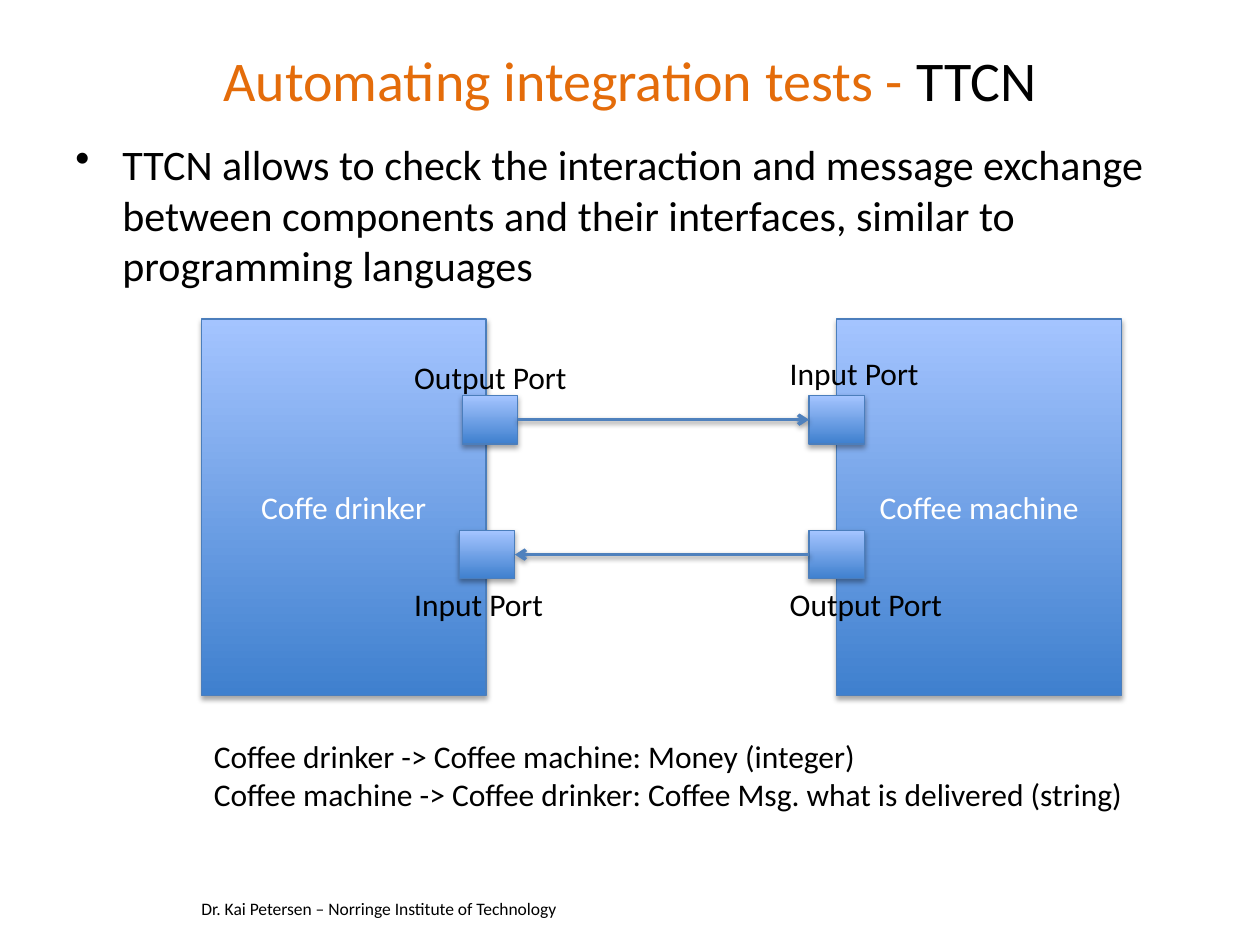
from lxml import etree
from pptx import Presentation
from pptx.dml.color import RGBColor
from pptx.enum import shapes, text
from pptx.oxml import ns
from pptx.util import Cm, Pt

FONT = "Calibri"
COLORS = {
    "black": "000000",
    "white": "FFFFFF",
    "accent": "E46C0A",
    "fill_bottom": "3F80CE",
    "fill_top": "A4C4FF",
    "border": "4B7EBC",
    "arrow": "4F81BD",
}


def rgb(name):
    return RGBColor.from_string(COLORS[name])


def set_font(font, size, color):
    font.name = FONT
    font.size = Pt(size)
    font.color.rgb = rgb(color)


def add_shadow(sp_pr, alpha, blur, dist):
    effects = sp_pr.find(ns.qn("a:effectLst"))
    if effects is None:
        effects = etree.SubElement(sp_pr, ns.qn("a:effectLst"))
    shadow = etree.SubElement(
        effects, ns.qn("a:outerShdw"), blurRad=str(Pt(blur)),
        dist=str(Pt(dist)), dir="5400000", rotWithShape="0")
    color = etree.SubElement(shadow, ns.qn("a:srgbClr"), val=COLORS["black"])
    etree.SubElement(color, ns.qn("a:alpha"), val=str(alpha * 1000))


def add_text(slide, x, y, w, h, lines, size):
    sp = slide.shapes.add_textbox(Cm(x), Cm(y), Cm(w), Cm(h))
    tf = sp.text_frame
    tf.word_wrap = True
    tf.text = "\n".join(lines)
    for p in tf.paragraphs:
        set_font(p.font, size, "black")
    return tf


def add_title(slide, accent, rest):
    tf = add_text(slide, 1.27, 0, 22.86, 3.18, [accent], 32)
    tf.vertical_anchor = text.MSO_ANCHOR.MIDDLE
    p = tf.paragraphs[0]
    p.alignment = text.PP_ALIGN.CENTER
    p.runs[0].font.color.rgb = rgb("accent")
    p.add_run().text = rest


def add_bullet(slide, line):
    p = add_text(slide, 1.27, 2.67, 22.86, 14.17, [line], 24).paragraphs[0]
    p.space_before = Pt(4.8)
    p_pr = p._p.get_or_add_pPr()
    p_pr.set("marL", str(Cm(0.95)))
    p_pr.set("indent", str(-Cm(0.95)))
    bullet = etree.Element(ns.qn("a:buChar"), char="•")
    p_pr.find(ns.qn("a:defRPr")).addprevious(bullet)


def add_box(slide, x, y, w, h, label=""):
    sp = slide.shapes.add_shape(
        shapes.MSO_SHAPE.RECTANGLE, Cm(x), Cm(y), Cm(w), Cm(h))
    sp.fill.gradient()
    sp.fill.gradient_angle = 90
    for stop, color in zip(sp.fill.gradient_stops, ("fill_bottom", "fill_top")):
        stop.color.rgb = rgb(color)
    sp.line.color.rgb = rgb("border")
    sp.line.width = Pt(0.75)
    sp.shadow.inherit = False
    add_shadow(sp._element.spPr, 35, 3.1, 1.8)
    if label:
        tf = sp.text_frame
        tf.text = label
        tf.vertical_anchor = text.MSO_ANCHOR.MIDDLE
        p = tf.paragraphs[0]
        p.alignment = text.PP_ALIGN.CENTER
        set_font(p.font, 18, "white")


def add_arrow(slide, x1, x2, y):
    cx = slide.shapes.add_connector(
        shapes.MSO_CONNECTOR.STRAIGHT, Cm(x1), Cm(y), Cm(x2), Cm(y))
    cx.line.color.rgb = rgb("arrow")
    cx.line.width = Pt(2)
    etree.SubElement(cx.line._get_or_add_ln(), ns.qn("a:tailEnd"), type="arrow")
    add_shadow(cx._element.spPr, 38, 3.1, 1.6)


def main():
    prs = Presentation()
    prs.slide_width, prs.slide_height = Cm(25.4), Cm(19.05)
    slide = prs.slides.add_slide(prs.slide_layouts[6])

    # Footer, title and statement
    add_text(slide, 3.81, 17.98, 14.55, 0.69,
             ["Dr. Kai Petersen – Norringe Institute of Technology"], 10)
    add_title(slide, "Automating integration tests - ", "TTCN")
    add_bullet(slide, "TTCN allows to check the interaction and message exchange "
                      "between components and their interfaces, similar to "
                      "programming languages")

    # Components
    for x, name in ((4.06, "Coffe drinker"), (16.87, "Coffee machine")):
        add_box(slide, x, 6.43, 5.74, 7.59, name)

    # Ports and the messages between them
    port_w, port_h, right_x = 1.12, 0.97, 16.31
    for left_x, y in ((9.32, 7.98), (9.26, 10.7)):
        for x in (left_x, right_x):
            add_box(slide, x, y, port_w, port_h)
    add_arrow(slide, 10.44, right_x, 8.46)
    add_arrow(slide, right_x, 10.38, 11.18)

    # Port labels
    for x, y, label in ((8.1, 7.09, "Output Port"), (15.67, 7.01, "Input Port"),
                        (15.67, 11.66, "Output Port"), (8.1, 11.66, "Input Port")):
        add_text(slide, x, y, 4.9, 1.02, [label], 18)

    # Message list
    add_text(slide, 4.06, 14.73, 20.07, 1.8, [
        "Coffee drinker -> Coffee machine: Money (integer)",
        "Coffee machine -> Coffee drinker: Coffee Msg. what is delivered (string)",
    ], 18)

    prs.save("out.pptx")


main()
